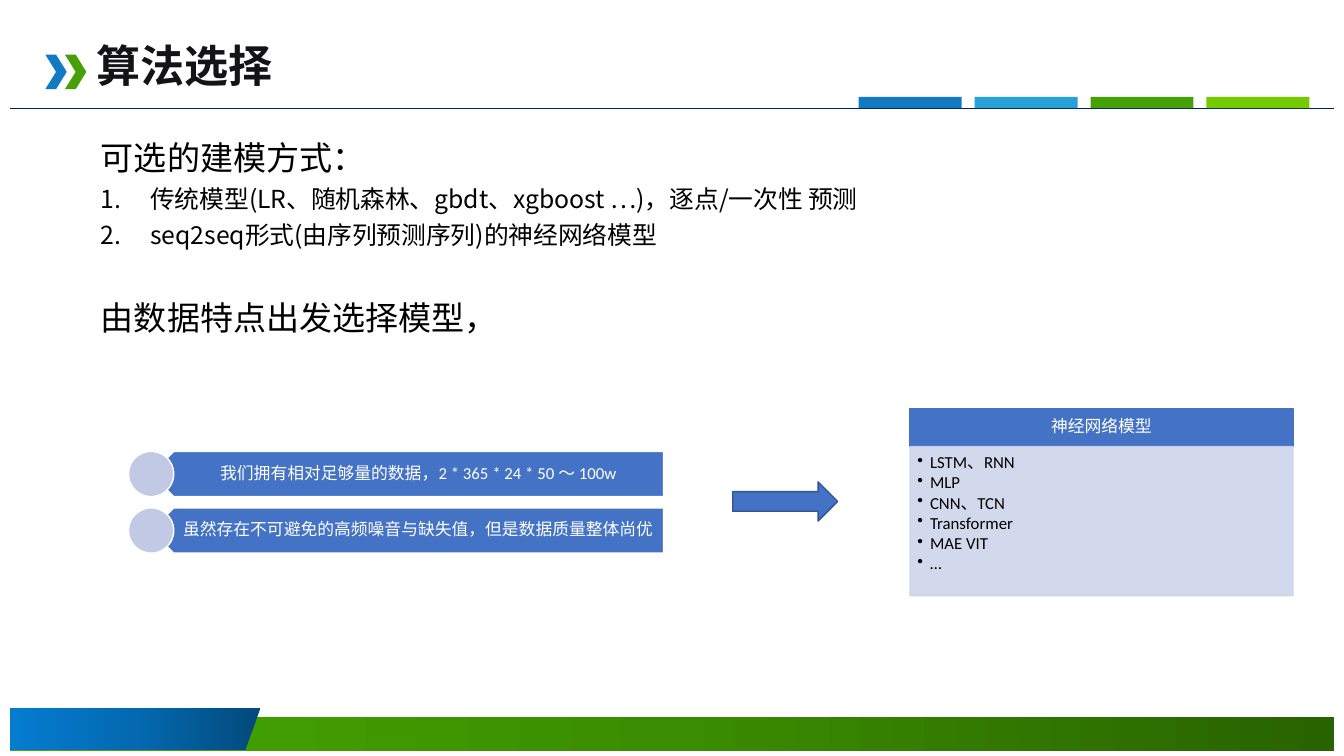
from lxml import etree
from pptx import Presentation
from pptx.dml.color import RGBColor
from pptx.enum.shapes import MSO_CONNECTOR, MSO_SHAPE as SHAPE
from pptx.enum.text import MSO_ANCHOR as ANCHOR, PP_ALIGN as ALIGN
from pptx.oxml.ns import qn
from pptx.util import Pt

COLORS = {
    "title": "141316", "text": "000000", "white": "FFFFFF", "rule": "002060",
    "blue": "127AC3", "sky": "28A1D7", "green": "46A106", "lime": "76CB00",
    "accent": "4472C4", "accent_edge": "325491",
    "circle": "C1C9E4", "panel": "CFD5EA",
}
GREEN_FADE = ("296300", "3A8D00", "45A700")
BLUE_FADE = ("034A7B", "0469B0", "057CD0")
CJK_SC, CJK_JP, LATIN = "Noto Sans CJK SC", "Noto Sans CJK JP", "Calibri"


def color(name):
    return RGBColor.from_string(COLORS[name])


def style_shape(shape, fill=None, line=None):
    shape.shadow.inherit = False
    if fill:
        shape.fill.solid()
        shape.fill.fore_color.rgb = color(fill)
    if line:
        shape.line.color.rgb = color(line)
        shape.line.width = Pt(1)
    else:
        shape.line.fill.background()
    return shape


def add_block(page, kind, place, fill=None, line=None):
    shape = page.shapes.add_shape(kind, *map(Pt, place))
    return style_shape(shape, fill, line)


def set_transparency(fill_element, percent):
    alpha = etree.SubElement(fill_element.find(qn("a:srgbClr")), qn("a:alpha"))
    alpha.set("val", str(percent * 1000))


def set_fade(shape, stops):
    """Three-stop gradient that runs from right to left."""
    shape.fill.gradient()
    shape.fill.gradient_angle = 180
    stop_list = shape._element.spPr.find(qn("a:gradFill")).find(qn("a:gsLst"))
    for stop in list(stop_list):
        stop_list.remove(stop)
    for index, value in enumerate(stops):
        stop = etree.SubElement(stop_list, qn("a:gs"), pos=str(index * 50000))
        etree.SubElement(stop, qn("a:srgbClr"), val=value)


def set_marker(para, indent, tag, **settings):
    """Hanging indent with a bullet or an automatic number."""
    properties = para._p.get_or_add_pPr()
    properties.set("marL", str(Pt(indent)))
    properties.set("indent", str(-Pt(indent)))
    etree.SubElement(properties, qn(tag), **settings)


def format_para(para, size, name, tint, bold=False, east=CJK_SC, spacing=0.9):
    para.line_spacing = spacing
    for span in para.runs:
        span.font.size = Pt(size)
        span.font.name = name
        span.font.bold = bold
        span.font.color.rgb = color(tint)
        latin = span._r.rPr.find(qn("a:latin"))
        latin.addnext(latin.makeelement(qn("a:ea"), {"typeface": east}))


def set_frame(shape, anchor, margins):
    frame = shape.text_frame
    frame.word_wrap = True
    frame.vertical_anchor = anchor
    (frame.margin_left, frame.margin_top,
     frame.margin_right, frame.margin_bottom) = map(Pt, margins)
    return frame


def add_label(shape, text, left_margin=6.6):
    frame = set_frame(shape, ANCHOR.MIDDLE, (left_margin, 3.6, 6.6, 3.6))
    frame.text = text
    para = frame.paragraphs[0]
    para.alignment = ALIGN.CENTER
    format_para(para, 12, LATIN, "white")


def add_title(page, text):
    title = page.shapes.title
    title.left, title.top, title.width, title.height = map(Pt, (62, 28, 142, 45.5))
    frame = set_frame(title, ANCHOR.TOP, (7.2, 3.6, 7.2, 3.6))
    frame.word_wrap = False
    frame.text = text
    frame.paragraphs[0].alignment = ALIGN.LEFT
    format_para(frame.paragraphs[0], 31.5, CJK_SC, "title", bold=True)


def add_header(page):
    rule = page.shapes.add_connector(
        MSO_CONNECTOR.STRAIGHT, Pt(7.2), Pt(77.6), Pt(952.8), Pt(77.6))
    rule.line.color.rgb = color("rule")
    rule.line.width = Pt(1)
    etree.SubElement(rule._element.spPr, qn("a:effectLst"))
    for index, fill in enumerate(("blue", "green")):
        add_block(page, SHAPE.CHEVRON, (32.4 + index * 14, 39, 15.3, 24.7), fill)
    for index, fill in enumerate(("blue", "sky", "green", "lime")):
        add_block(page, SHAPE.RECTANGLE, (613.4 + index * 82.8, 69.3, 73.5, 8), fill)


def add_footer(page):
    set_fade(add_block(page, SHAPE.RECTANGLE, (7.2, 512.4, 945.6, 24)), GREEN_FADE)
    outline = page.shapes.build_freeform(Pt(7.2), Pt(505.4))
    corners = ((186.2, 505.4), (175, 536), (7.2, 536))
    outline.add_line_segments([(Pt(x), Pt(y)) for x, y in corners], close=True)
    set_fade(style_shape(outline.convert_to_shape()), BLUE_FADE)


def add_body(page):
    box = page.shapes.add_textbox(Pt(65), Pt(100), Pt(777), Pt(401))
    frame = set_frame(box, ANCHOR.TOP, (7.2, 3.6, 7.2, 3.6))
    # text, size, space before, numbered
    lines = (
        ("可选的建模方式：", 23.6, 0, False),
        ("传统模型(LR、随机森林、gbdt、xgboost …)，逐点/一次性 预测", 17.7, 9, True),
        ("seq2seq形式(由序列预测序列)的神经网络模型", 17.7, 9, True),
        ("由数据特点出发选择模型，", 23.6, 39.5, False),
    )
    frame.text = "\n".join(line[0] for line in lines)
    for para, (_, size, before, numbered) in zip(frame.paragraphs, lines):
        if numbered:
            set_marker(para, 35.3, "a:buAutoNum", type="arabicPeriod")
        para.space_before = Pt(before)
        format_para(para, size, CJK_JP, "text", east=CJK_JP, spacing=0.8)


def add_reason(page, top, text):
    height = 32.3
    plate = add_block(page, SHAPE.PENTAGON, (108, top, 366, height), "accent", "white")
    plate.rotation = 180
    label = page.shapes.add_textbox(*map(Pt, (116, top, 358, height)))
    add_label(label, text, left_margin=14.2)
    add_block(page, SHAPE.OVAL, (91.8, top, height, height), "circle", "white")


def add_model_panel(page, heading, models):
    left, width = 650, 273.6
    head = add_block(page, SHAPE.RECTANGLE, (left, 291.6, width, 27.4), "accent", "accent")
    add_label(head, heading)
    panel = add_block(page, SHAPE.RECTANGLE, (left, 319, width, 106.5), "panel", "panel")
    properties = panel._element.spPr
    for parent in (properties, properties.find(qn("a:ln"))):
        set_transparency(parent.find(qn("a:solidFill")), 90)
    frame = set_frame(panel, ANCHOR.TOP, (5.3, 5.3, 6.6, 7.2))
    frame.text = "\n".join(models)
    for para in frame.paragraphs:
        set_marker(para, 9, "a:buChar", char="•")
        para.alignment = ALIGN.LEFT
        para.space_after = Pt(1.5)
        format_para(para, 12, LATIN, "text")


def main():
    deck = Presentation()
    deck.slide_width, deck.slide_height = Pt(960), Pt(540)
    page = deck.slides.add_slide(deck.slide_layouts[5])

    # Frame of the page
    add_title(page, "算法选择")
    add_header(page)
    add_footer(page)

    # Modelling options
    add_body(page)

    # Data traits lead to the choice of models
    reasons = (
        "我们拥有相对足够量的数据，2 * 365 * 24 * 50 ～ 100w",
        "虽然存在不可避免的高频噪音与缺失值，但是数据质量整体尚优",
    )
    for index, text in enumerate(reasons):
        add_reason(page, 322.4 + index * 40.4, text)
    add_block(page, SHAPE.RIGHT_ARROW, (523.4, 344.2, 75, 28), "accent", "accent_edge")
    add_model_panel(page, "神经网络模型", (
        "LSTM、RNN", "MLP", "CNN、TCN", "Transformer", "MAE VIT", "…"))

    deck.save("out.pptx")


if __name__ == "__main__":
    main()
